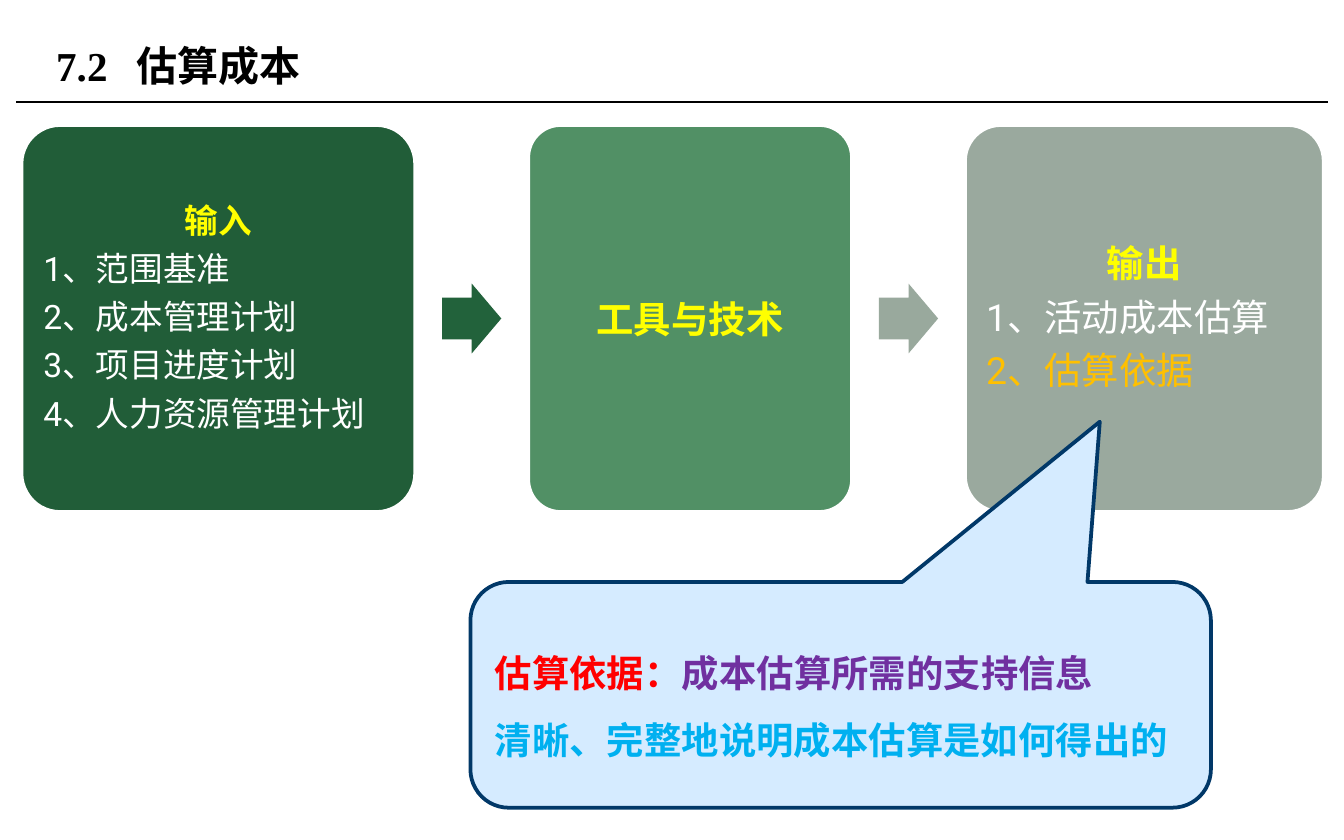
from dataclasses import dataclass
from lxml.etree import SubElement
from pptx import Presentation
from pptx.dml.color import RGBColor
from pptx.enum.shapes import MSO_CONNECTOR, MSO_SHAPE
from pptx.enum.text import MSO_ANCHOR, PP_ALIGN
from pptx.oxml.ns import qn
from pptx.util import Inches, Pt


@dataclass(frozen=True)
class Theme:
    """Colours, fonts and type sizes of the slide."""
    black: str = "000000"
    white: str = "FFFFFF"
    heading: str = "FFFF00"
    accent: str = "FFC000"
    input_fill: str = "215D38"
    tools_fill: str = "519065"
    output_fill: str = "9AA99E"
    first_arrow: str = "22623B"
    second_arrow: str = "99A99D"
    callout_fill: str = "D5EBFF"
    callout_line: str = "013868"
    term: str = "FF0000"
    meaning: str = "7030A0"
    detail: str = "00B0F0"
    serif: str = "Times New Roman"
    sans: str = "Roboto"
    chinese: str = "Noto Sans CJK SC"
    title_size: int = 22
    large_size: int = 20
    list_size: int = 18


THEME = Theme()


def color(value):
    """Turn a hex string into a colour."""
    return RGBColor.from_string(value)


def add_text(paragraph, text, *, size, fill, font=THEME.sans, bold=False,
             align=PP_ALIGN.LEFT, leading=None, after=0):
    """Append one formatted run and set the format of its paragraph."""
    paragraph.alignment = align
    paragraph.space_after = Pt(after)
    if leading:
        paragraph.line_spacing = Pt(leading)
    run = paragraph.add_run()
    run.text = text
    run.font.size = Pt(size)
    run.font.bold = bold
    run.font.color.rgb = color(fill)
    run.font.name = font
    SubElement(run.font._element, qn("a:ea"), typeface=THEME.chinese)


def add_block(slide, kind, box, fill, adjustments, line=None):
    """Add a filled preset shape without a shadow."""
    block = slide.shapes.add_shape(kind, *map(Inches, box))
    block.shadow.inherit = False
    block.fill.solid()
    block.fill.fore_color.rgb = color(fill)
    if line:
        block.line.color.rgb = color(line)
        block.line.width = Pt(2)
    else:
        block.line.fill.background()
    for index, value in enumerate(adjustments):
        block.adjustments[index] = value
    return block


def prepare_frame(holder, margin):
    """Wrap and centre the text vertically, with equal side margins."""
    frame = holder.text_frame
    frame.word_wrap = True
    frame.vertical_anchor = MSO_ANCHOR.MIDDLE
    frame.margin_left = frame.margin_right = Inches(margin)
    return frame


def add_header(slide, box):
    """Place the title and the rule that spans the slide below it."""
    left, top, width, height = box
    title = slide.shapes.add_textbox(*map(Inches, (left + 0.2, top, 6.38, 0.71)))
    paragraph = prepare_frame(title, 0.1).paragraphs[0]
    tabs = SubElement(paragraph._p.get_or_add_pPr(), qn("a:tabLst"))
    SubElement(tabs, qn("a:tab"), pos=str(Inches(0.6)), algn="l")
    add_text(paragraph, "7.2\t估算成本", size=THEME.title_size,
             fill=THEME.black, font=THEME.serif, bold=True)
    rule = slide.shapes.add_connector(
        MSO_CONNECTOR.STRAIGHT, Inches(left), Inches(top + height),
        Inches(left + width), Inches(top + height))
    rule.line.color.rgb = color(THEME.black)
    rule.line.width = Pt(0.75)
    SubElement(rule._element.spPr, qn("a:effectLst"))


def add_panel(slide, box, fill, size, heading, items):
    """Place a process panel with a centred heading and its items."""
    panel = add_block(slide, MSO_SHAPE.ROUNDED_RECTANGLE, box, fill, [0.1], THEME.white)
    frame = prepare_frame(panel, 0.08)
    spacing = dict(size=size, leading=1.08 * size, after=0.35 * size) if items else dict(size=size)
    add_text(frame.paragraphs[0], heading, fill=THEME.heading, bold=True,
             align=PP_ALIGN.CENTER, **spacing)
    for item, item_color in items:
        add_text(frame.add_paragraph(), item, fill=item_color, **spacing)


def add_process(slide, box):
    """Place the three panels with an arrow centred in each gap."""
    left, top, _, height = box
    gap, arrow_width, arrow_height = 0.84, 0.44, 0.52
    inputs = ["1、范围基准", "2、成本管理计划", "3、项目进度计划", "4、人力资源管理计划"]
    stages = [
        (2.93, THEME.input_fill, THEME.first_arrow, THEME.list_size, "输入",
         [(item, THEME.white) for item in inputs]),
        (2.41, THEME.tools_fill, THEME.second_arrow, THEME.large_size, "工具与技术", []),
        (2.67, THEME.output_fill, None, THEME.large_size, "输出",
         [("1、活动成本估算", THEME.white), ("2、估算依据", THEME.accent)]),
    ]
    for width, fill, arrow_fill, size, heading, items in stages:
        add_panel(slide, (left, top, width, height), fill, size, heading, items)
        left += width
        if arrow_fill:
            arrow_box = (left + (gap - arrow_width) / 2, top + (height - arrow_height) / 2,
                         arrow_width, arrow_height)
            add_block(slide, MSO_SHAPE.RIGHT_ARROW, arrow_box, arrow_fill, [0.6, 0.5])
        left += gap


def add_callout(slide, box):
    """Place the callout that explains the basis of estimates."""
    callout = add_block(slide, MSO_SHAPE.ROUNDED_RECTANGULAR_CALLOUT, box,
                        THEME.callout_fill, [0.35, -1.21, 0.17], THEME.callout_line)
    frame = prepare_frame(callout, 0.1)
    style = dict(size=THEME.large_size, font=THEME.serif, bold=True, leading=36)
    definition = frame.paragraphs[0]
    add_text(definition, "估算依据：", fill=THEME.term, **style)
    add_text(definition, "成本估算所需的支持信息", fill=THEME.meaning, **style)
    add_text(frame.add_paragraph(), "清晰、完整地说明成本估算是如何得出的",
             fill=THEME.detail, **style)


def main():
    """Build the slide and save it."""
    presentation = Presentation()
    presentation.slide_width = Inches(10)
    presentation.slide_height = Inches(6.25)
    slide = presentation.slides.add_slide(presentation.slide_layouts[6])
    add_header(slide, (0.12, 0.13, 9.76, 0.63))
    add_process(slide, (0.16, 0.93, 9.68, 2.88))
    add_callout(slide, (3.5, 4.33, 5.51, 1.68))
    presentation.save("out.pptx")


if __name__ == "__main__":
    main()
